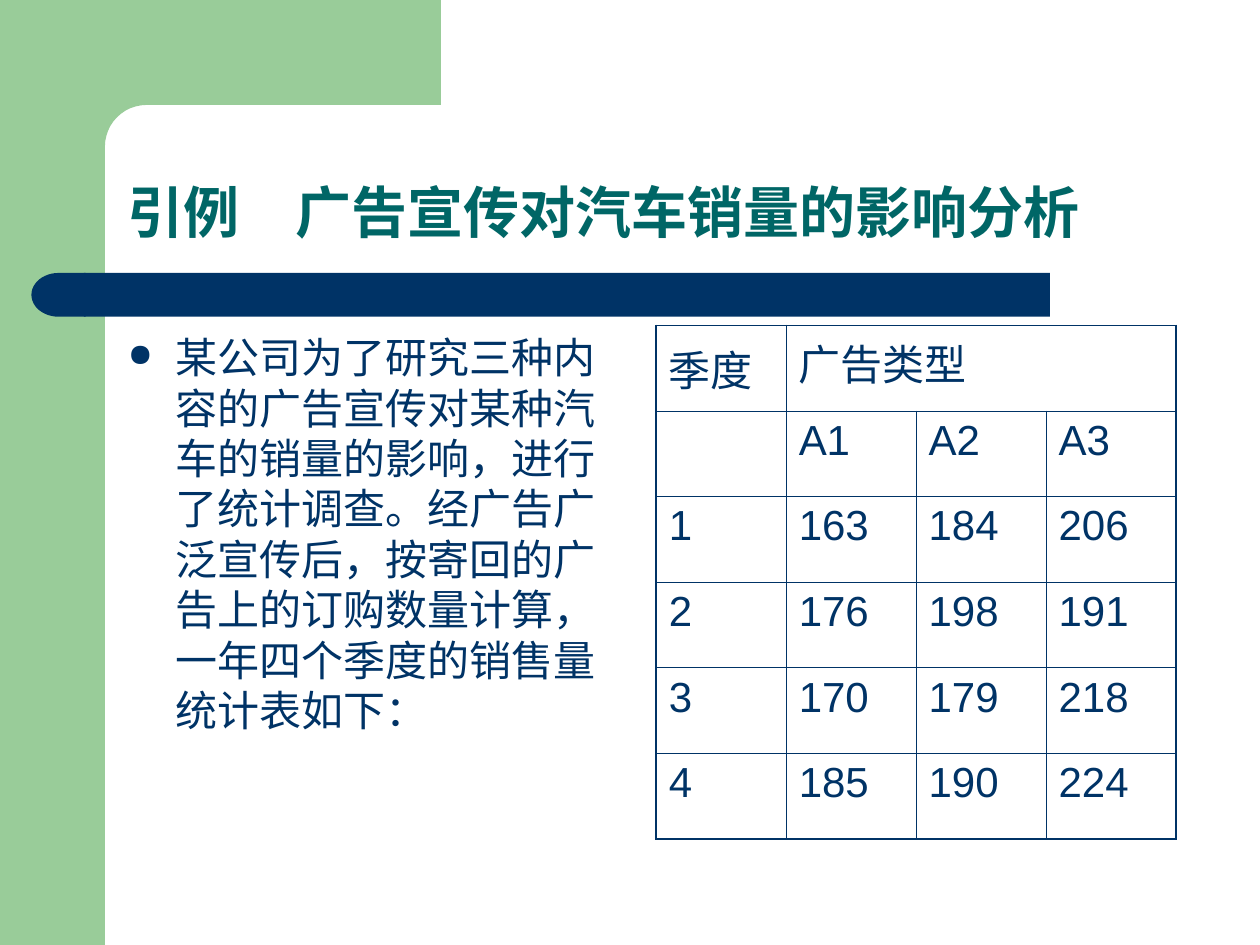
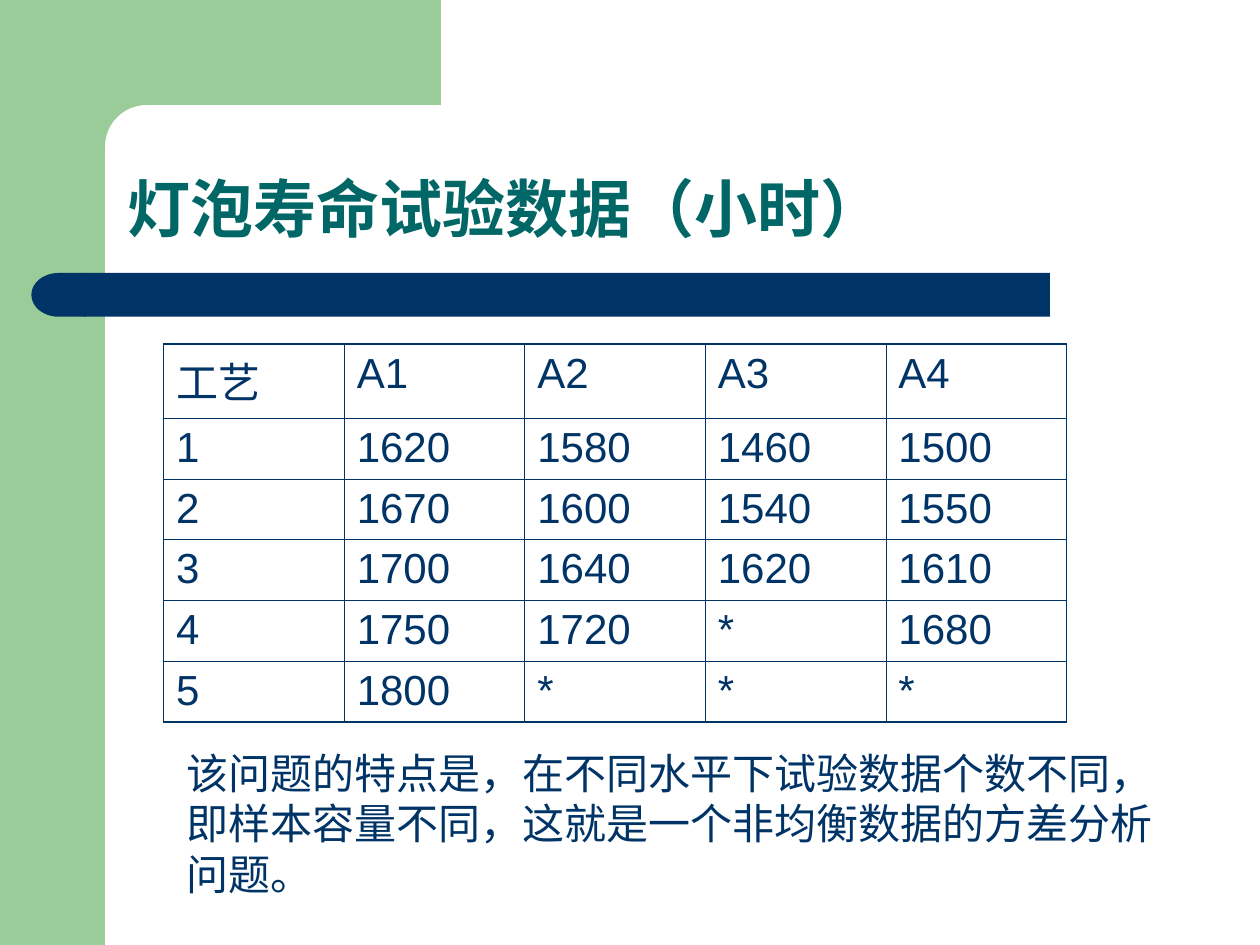
from math import cos, pi, sin

from lxml.etree import SubElement
from pptx import Presentation
from pptx.dml.color import RGBColor
from pptx.enum.lang import MSO_LANGUAGE_ID as Language
from pptx.enum.shapes import MSO_SHAPE as Preset
from pptx.enum.text import MSO_ANCHOR as Anchor
from pptx.enum.text import MSO_AUTO_SIZE as AutoSize
from pptx.enum.text import PP_ALIGN as Align
from pptx.oxml.ns import qn
from pptx.util import Pt

GREEN = RGBColor(0x99, 0xCC, 0x99)
NAVY = RGBColor(0x00, 0x33, 0x66)
TEAL = RGBColor(0x00, 0x66, 0x66)
FONT = "Arial"
BODY_SIZE = 24
OUTER_LINE, INNER_LINE = 1.08, 0.45

AD_SALES = [
    ["季度", "广告类型", "", ""],
    ["", "A1", "A2", "A3"],
    ["1", "163", "184", "206"],
    ["2", "176", "198", "191"],
    ["3", "170", "179", "218"],
    ["4", "185", "190", "224"],
]
BULB_HOURS = [
    ["工艺", "A1", "A2", "A3", "A4"],
    ["1", "1620", "1580", "1460", "1500"],
    ["2", "1670", "1600", "1540", "1550"],
    ["3", "1700", "1640", "1620", "1610"],
    ["4", "1750", "1720", "*", "1680"],
    ["5", "1800", "*", "*", "*"],
]
AD_STUDY = ("某公司为了研究三种内容的广告宣传对某种汽车的销量的影响，进行了统计调查。"
            "经广告广泛宣传后，按寄回的广告上的订购数量计算，一年四个季度的销售量统计表如下：")
BULB_REMARK = ("该问题的特点是，在不同水平下试验数据个数不同，即样本容量不同，"
               "这就是一个非均衡数据的方差分析问题。")


# Text
def write(text_frame, text, size=BODY_SIZE, color=NAVY, bold=False, **paragraph_format):
    paragraph = text_frame.paragraphs[0]
    for name, value in paragraph_format.items():
        setattr(paragraph, name, value)
    run = paragraph.add_run()
    run.text = text
    font_format = {"name": FONT, "size": Pt(size), "bold": bold,
                   "language_id": Language.SIMPLIFIED_CHINESE}
    for name, value in font_format.items():
        setattr(run.font, name, value)
    run.font.color.rgb = color
    return paragraph


def place(shape, left, top, width, height):
    box = {"left": left, "top": top, "width": width, "height": height}
    for name, value in box.items():
        setattr(shape, name, Pt(value))


def add_titled_slide(presentation, title, size):
    slide = presentation.slides.add_slide(presentation.slide_layouts[5])
    placeholder = slide.shapes.title
    place(placeholder, 65.5, 65.5, 612.5, 78.5)
    frame_format = {"vertical_anchor": Anchor.BOTTOM, "word_wrap": True,
                    "auto_size": AutoSize.NONE}
    for name, value in frame_format.items():
        setattr(placeholder.text_frame, name, value)
    write(placeholder.text_frame, title, size, TEAL, True,
          alignment=Align.LEFT, line_spacing=0.9)
    return slide


def add_text(slide, text, box, space_before):
    text_box = slide.shapes.add_textbox(*map(Pt, box))
    text_box.text_frame.word_wrap = True
    return write(text_box.text_frame, text, space_before=Pt(space_before))


def add_bullet(paragraph, indent):
    properties = paragraph._p.get_or_add_pPr()
    properties.set("marL", str(Pt(indent)))
    properties.set("indent", str(-Pt(indent)))
    color = SubElement(properties, qn("a:buClr"))
    SubElement(color, qn("a:srgbClr"), val=str(NAVY))
    SubElement(properties, qn("a:buSzPct"), val="75000")
    SubElement(properties, qn("a:buChar"), char="●")


# Shared frame: green corner and navy band, kept in the layout
def paint(shape, color):
    shape.shadow.inherit = False
    shape.fill.solid()
    shape.fill.fore_color.rgb = color
    shape.line.fill.background()
    return shape


def add_block(slide, preset, box, color):
    return paint(slide.shapes.add_shape(preset, *map(Pt, box)), color)


def add_corner(slide):
    side, top, radius, steps = 60, 60, 23.75, 12
    center_x, center_y = side + radius, top + radius
    angles = [pi / 2 * step / steps for step in range(steps + 1)]
    arc = [(center_x - radius * sin(angle), center_y - radius * cos(angle))
           for angle in angles]
    points = [(252, top), *arc, (side, 92), (36, 92), (36, 0)]
    builder = slide.shapes.build_freeform(Pt(252), 0)
    builder.add_line_segments([(Pt(x), Pt(y)) for x, y in points], close=True)
    return paint(builder.convert_to_shape(), GREEN)


def move_frame_to_layout(slide):
    side_strip = add_block(slide, Preset.RECTANGLE, (0, 0, 60, 540), GREEN)
    corner = add_corner(slide)
    band = add_block(slide, Preset.ROUNDED_RECTANGLE, (48, 156, 552, 25), NAVY)
    band.adjustments[0] = 0
    band_end = add_block(slide, Preset.FLOWCHART_DELAY, (18, 156, 31, 25), NAVY)
    band_end.element.spPr.get_or_add_xfrm().set("flipH", "1")
    layout_tree = slide.slide_layout.shapes.element
    for index, shape in enumerate([side_strip, corner, band, band_end]):
        shape.element.nvSpPr.cNvPr.set("id", str(100 + index))
        layout_tree.insert(2 + index, shape.element)


# Tables
def set_borders(cell, widths):
    properties = cell._tc.get_or_add_tcPr()
    for index, (side, width) in enumerate(widths.items()):
        line = SubElement(properties, qn(f"a:ln{side}"), w=str(Pt(width)))
        fill = SubElement(line, qn("a:solidFill"))
        SubElement(fill, qn("a:srgbClr"), val=str(NAVY))
        properties.insert(index, line)


def add_grid(slide, rows, box, row_heights, header_span=1):
    row_count, column_count = len(rows), len(rows[0])
    table = slide.shapes.add_table(row_count, column_count, *map(Pt, box)).table
    table.first_row = table.horz_banding = False
    for row, height in zip(table.rows, row_heights):
        row.height = Pt(height)
    if header_span > 1:
        table.cell(0, 1).merge(table.cell(0, header_span))
    for i, values in enumerate(rows):
        for j, value in enumerate(values):
            cell = table.cell(i, j)
            cell.fill.background()
            if cell.is_spanned:
                continue
            last = j + (cell.span_width if cell.is_merge_origin else 1) == column_count
            on_edge = {"L": j == 0, "R": last, "T": i == 0, "B": i == row_count - 1}
            set_borders(cell, {side: OUTER_LINE if edge else INNER_LINE
                               for side, edge in on_edge.items()})
            if value:
                write(cell.text_frame, value, space_before=Pt(6))
    return table


def main():
    presentation = Presentation()
    presentation.slide_width, presentation.slide_height = Pt(720), Pt(540)

    # Advertising and car sales
    slide = add_titled_slide(presentation, "引例　广告宣传对汽车销量的影响分析", 32)
    move_frame_to_layout(slide)
    study = add_text(slide, AD_STUDY, (66, 186, 297, 293), 6)
    add_bullet(study, 27)
    table = add_grid(slide, AD_SALES, (375, 186, 297, 293.4), [48.9] * 6, header_span=3)
    table.cell(0, 0).vertical_anchor = Anchor.MIDDLE

    # Bulb lifetimes
    slide = add_titled_slide(presentation, "灯泡寿命试验数据（小时）", 36)
    add_grid(slide, BULB_HOURS, (93.5, 196.5, 516, 216), [42.5] + [34.7] * 5)
    add_text(slide, BULB_REMARK, (99.5, 423.5, 584, 93.5), 15)

    presentation.save("out.pptx")


if __name__ == "__main__":
    main()
